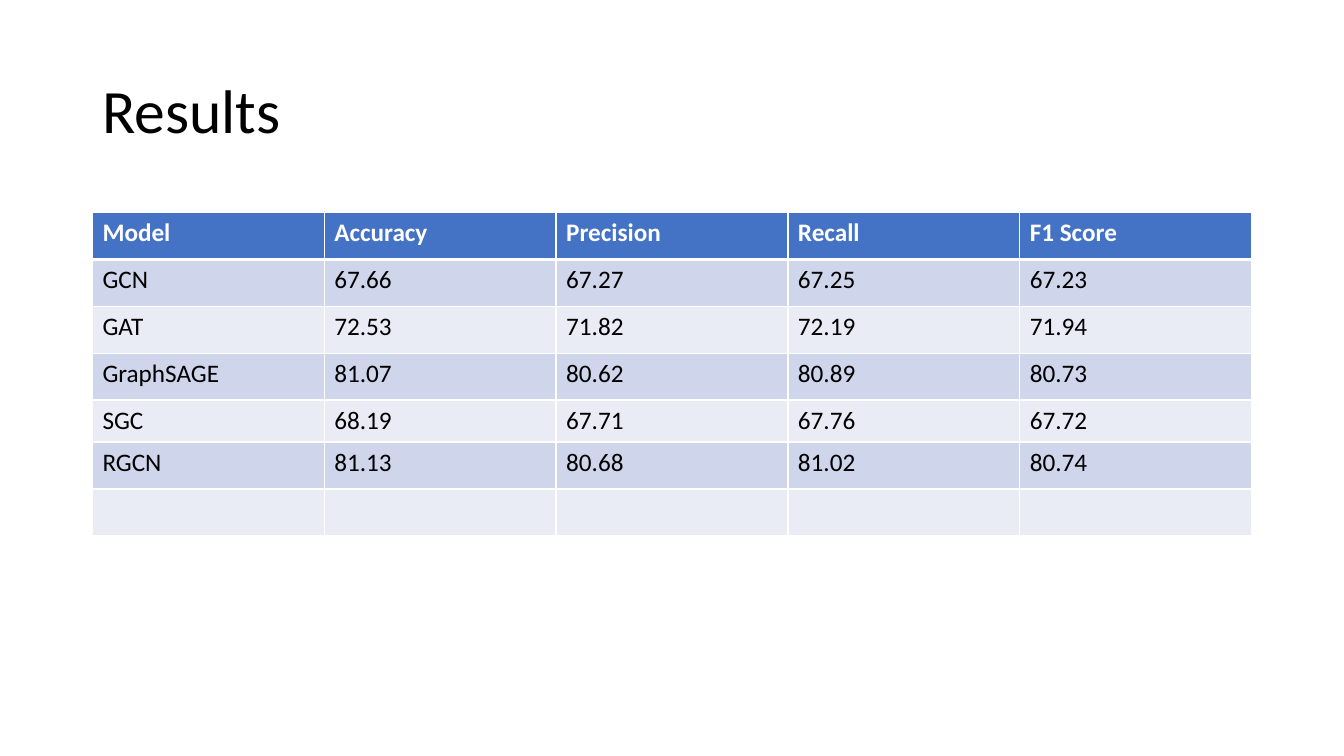
from lxml import etree
from pptx import Presentation
from pptx.dml.color import RGBColor
from pptx.enum.text import MSO_ANCHOR
from pptx.oxml.ns import qn
from pptx.util import Cm, Pt

MIDDLE = MSO_ANCHOR.MIDDLE

FONT = "Calibri"
BLACK = RGBColor(0x00, 0x00, 0x00)
WHITE = RGBColor(0xFF, 0xFF, 0xFF)
HEADER_BLUE = RGBColor(0x44, 0x72, 0xC4)
BAND_DARK = RGBColor(0xCF, 0xD5, 0xEA)
BAND_LIGHT = RGBColor(0xE9, 0xEB, 0xF5)

LEFT, WIDTH = Cm(2.33), Cm(29.21)
ROW_HEIGHT, SGC_ROW_HEIGHT = Cm(1.18), Cm(1.06)

RESULTS = [
    ("Model", "Accuracy", "Precision", "Recall", "F1 Score"),
    ("GCN", "67.66", "67.27", "67.25", "67.23"),
    ("GAT", "72.53", "71.82", "72.19", "71.94"),
    ("GraphSAGE", "81.07", "80.62", "80.89", "80.73"),
    ("SGC", "68.19", "67.71", "67.76", "67.72"),
    ("RGCN", "81.13", "80.68", "81.02", "80.74"),
    ("", "", "", "", ""),
]


def format_runs(paragraph, size, color, bold=False):
    for run in paragraph.runs:
        run.font.name = FONT
        run.font.size = Pt(size)
        run.font.bold = bold
        run.font.color.rgb = color


def add_title(slide, text):
    text_box = slide.shapes.add_textbox(LEFT, Cm(1.01), WIDTH, Cm(3.68))
    text_frame = text_box.text_frame
    text_frame.word_wrap = True
    text_frame.vertical_anchor = MIDDLE
    text_frame.text = text
    paragraph = text_frame.paragraphs[0]
    paragraph.line_spacing = 0.9
    format_runs(paragraph, 44, BLACK)


def set_borders(cell, top, bottom):
    """Draw white cell borders; top and bottom are widths in points."""
    properties = cell._tc.get_or_add_tcPr()
    for side, width in (("L", 1), ("R", 1), ("T", top), ("B", bottom)):
        line = etree.SubElement(properties, qn(f"a:ln{side}"), w=str(Pt(width)))
        fill = etree.SubElement(line, qn("a:solidFill"))
        etree.SubElement(fill, qn("a:srgbClr"), val=str(WHITE))


def format_cell(cell, text, row_index):
    is_header = row_index == 0
    set_borders(cell, top=3 if row_index == 1 else 1, bottom=3 if is_header else 1)
    cell.fill.solid()
    if is_header:
        cell.fill.fore_color.rgb = HEADER_BLUE
    else:
        cell.fill.fore_color.rgb = BAND_DARK if row_index % 2 else BAND_LIGHT
    if text:
        cell.text_frame.text = text
        format_runs(cell.text_frame.paragraphs[0], 18,
                    WHITE if is_header else BLACK, is_header)


def add_results_table(slide, rows):
    heights = [SGC_ROW_HEIGHT if row[0] == "SGC" else ROW_HEIGHT for row in rows]
    table = slide.shapes.add_table(
        len(rows), len(rows[0]), LEFT, Cm(5.36), WIDTH, sum(heights)).table
    for row_index, values in enumerate(rows):
        table.rows[row_index].height = heights[row_index]
        for column_index, text in enumerate(values):
            format_cell(table.cell(row_index, column_index), text, row_index)


def main():
    presentation = Presentation()
    presentation.slide_width = Cm(33.87)
    presentation.slide_height = Cm(19.05)
    slide = presentation.slides.add_slide(presentation.slide_layouts[6])
    add_title(slide, "Results")
    add_results_table(slide, RESULTS)
    presentation.save("out.pptx")


if __name__ == "__main__":
    main()
